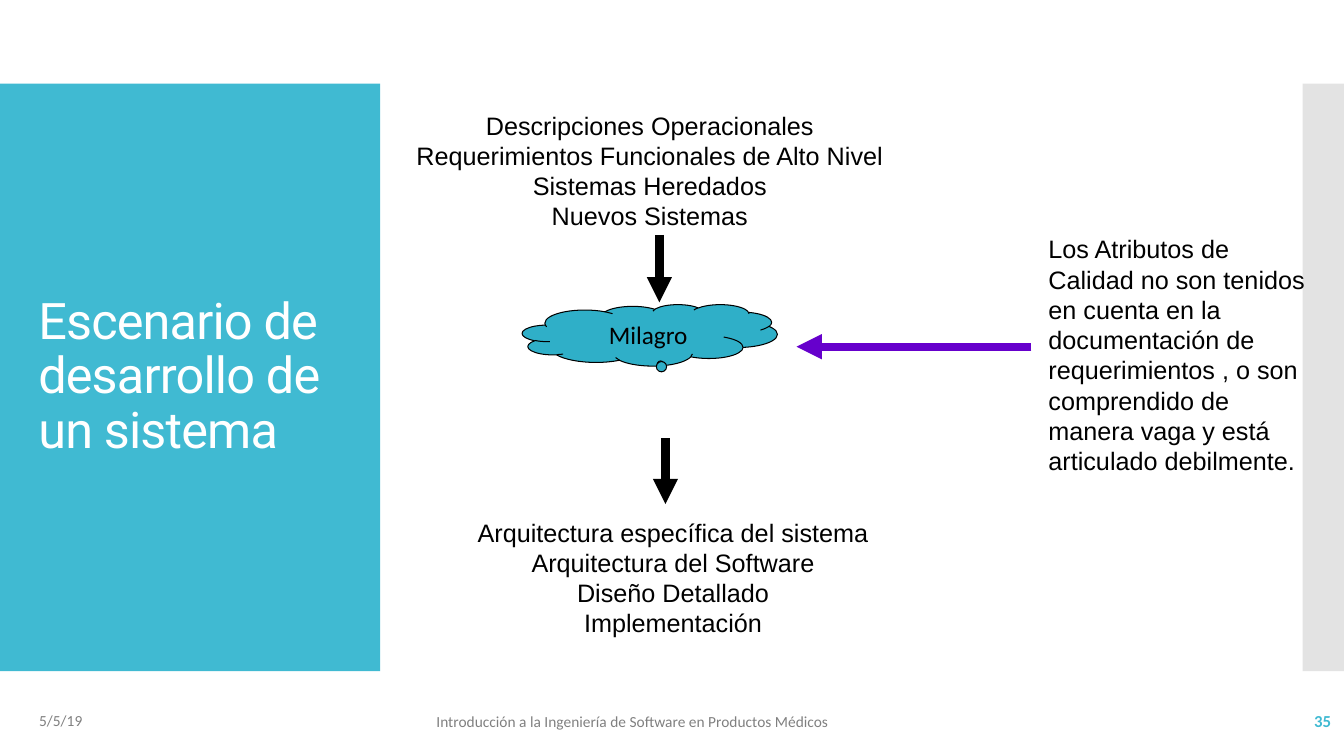
from dataclasses import dataclass
from typing import Any

from lxml import etree
from pptx import Presentation
from pptx.dml.color import RGBColor
from pptx.enum.shapes import MSO_CONNECTOR, MSO_SHAPE
from pptx.enum.text import MSO_ANCHOR, MSO_AUTO_SIZE, PP_ALIGN
from pptx.oxml.ns import qn
from pptx.util import Inches, Pt

STRAIGHT = MSO_CONNECTOR.STRAIGHT
RECTANGLE, CLOUD = MSO_SHAPE.RECTANGLE, MSO_SHAPE.CLOUD_CALLOUT
TOP, MIDDLE = MSO_ANCHOR.TOP, MSO_ANCHOR.MIDDLE
NO_FIT = MSO_AUTO_SIZE.NONE
LEFT, CENTER, RIGHT = PP_ALIGN.LEFT, PP_ALIGN.CENTER, PP_ALIGN.RIGHT


def paint(color_format, color):
    color_format.rgb = RGBColor.from_string(color)


def inches(*lengths):
    return [Inches(length) for length in lengths]


@dataclass
class SlideBuilder:
    slide: Any
    accent: str = "40BAD2"
    ink: str = "000000"
    muted: str = "808080"
    body_font: str = "Arial"
    small_font: str = "Calibri"
    title_font: str = "Roboto"

    def style(self, paragraph, font, size, color, align=LEFT, bold=False):
        paragraph.alignment = align
        paragraph.font.name = font
        paragraph.font.size = Pt(size)
        paragraph.font.bold = bold
        paint(paragraph.font.color, color)

    def title(self, box, text):
        title = self.slide.shapes.title
        title.left, title.top, title.width, title.height = inches(*box)
        title.element.getparent().append(title.element)
        frame = title.text_frame
        frame.text = text
        frame.word_wrap = True
        frame.auto_size = NO_FIT
        frame.vertical_anchor = MIDDLE
        heading = frame.paragraphs[0]
        heading.line_spacing = 0.9
        self.style(heading, self.title_font, 36, "FFFFFF")
        heading.runs[0].font._element.set("spc", "-60")

    def text(self, box, lines, font=None, size=18, color=None, align=LEFT,
             anchor=TOP, wrap=True, bold=False):
        frame = self.slide.shapes.add_textbox(*inches(*box)).text_frame
        frame.text = "\n".join(lines)
        frame.word_wrap = wrap
        frame.vertical_anchor = anchor
        for paragraph in frame.paragraphs:
            self.style(paragraph, font or self.body_font, size,
                       color or self.ink, align, bold)

    def footer(self, box, text, size=11, color=None, align=LEFT, bold=False):
        self.text(box, [text], self.small_font, size, color or self.muted,
                  align, MIDDLE, bold=bold)

    def shape(self, kind, box, fill, outline=None, opacity=None):
        shape = self.slide.shapes.add_shape(kind, *inches(*box))
        shape.shadow.inherit = False
        shape.fill.solid()
        paint(shape.fill.fore_color, fill)
        if opacity is not None:
            tint = shape.element.spPr.find(".//" + qn("a:srgbClr"))
            etree.SubElement(tint, qn("a:alpha"), val=str(opacity * 1000))
        if outline:
            paint(shape.line.color, outline)
            shape.line.width = Pt(0.75)
        else:
            shape.line.fill.background()
        return shape

    def arrow(self, start, end, color=None):
        arrow = self.slide.shapes.add_connector(
            STRAIGHT, *inches(*start), *inches(*end))
        arrow.line.width = Pt(6)
        paint(arrow.line.color, color or self.ink)
        etree.SubElement(arrow.line._get_or_add_ln(), qn("a:tailEnd"),
                         type="triangle")
        etree.SubElement(arrow.element.spPr, qn("a:effectLst"))


def main():
    deck = Presentation()
    deck.slide_width, deck.slide_height = inches(13.33, 7.5)
    page = SlideBuilder(deck.slides.add_slide(deck.slide_layouts[5]))

    page.shape(RECTANGLE, (0, 0.83, 3.77, 5.83), page.accent)
    page.shape(RECTANGLE, (12.92, 0.83, 0.41, 5.83), "C8C8C8", opacity=50)
    page.title((0.28, 1.23, 3.22, 5.03),
               "Escenario de desarrollo de un sistema")

    page.arrow((6.54, 2.33), (6.54, 3))
    page.arrow((6.6, 4.35), (6.6, 5))
    page.text((4.01, 1.04, 4.87, 1.31), [
        "Descripciones Operacionales",
        "Requerimientos Funcionales de Alto Nivel",
        "Sistemas Heredados",
        "Nuevos Sistemas",
    ], align=CENTER, wrap=False)

    page.arrow((10.23, 3.44), (7.9, 3.44), "6600CC")
    page.text((10.3, 2.27, 2.75, 2.52), [
        "Los Atributos de Calidad no son tenidos en cuenta en la "
        "documentación de requerimientos , o son comprendido de manera "
        "vaga y está articulado debilmente.",
    ])

    miracle = page.shape(CLOUD, (5.18, 3.02, 2.53, 0.61), "2FAFC8", page.ink)
    miracle.adjustments[0] = 0.044
    miracle.adjustments[1] = 0.491
    page.text((5.94, 3.12, 1.03, 0.4), ["Milagro"], page.small_font,
              wrap=False)

    page.text((4.62, 5.08, 4.11, 1.31), [
        "Arquitectura específica del sistema",
        "Arquitectura del Software",
        "Diseño Detallado",
        "Implementación",
    ], align=CENTER, wrap=False)

    page.footer((0.29, 6.95, 3, 0.4), "5/5/19")
    page.footer((4.23, 6.96, 6.46, 0.4),
                "Introducción a la Ingeniería de Software en Productos Médicos")
    page.footer((11.63, 6.95, 1.67, 0.4), "35", 12, page.accent, RIGHT, True)

    deck.save("out.pptx")


if __name__ == "__main__":
    main()
